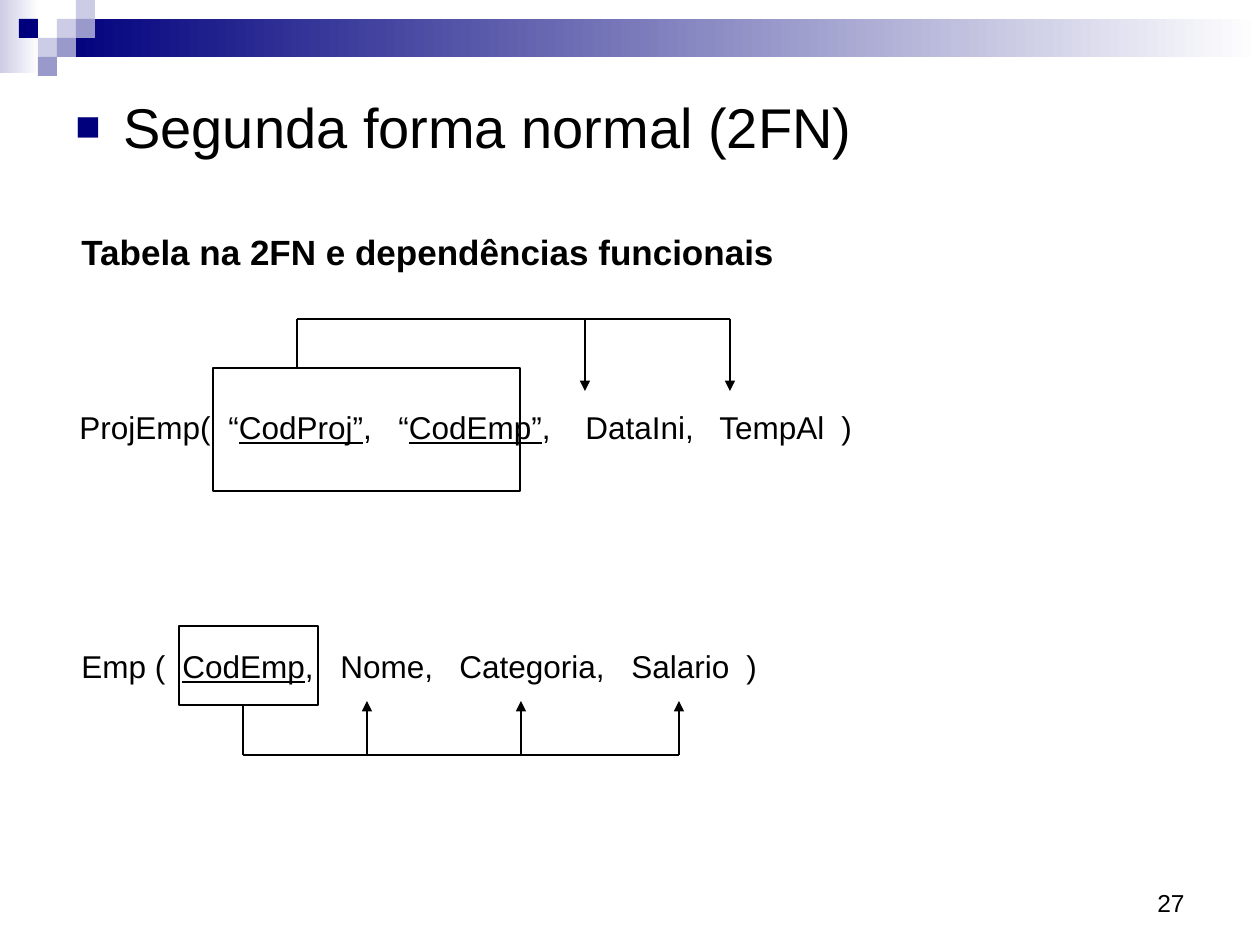
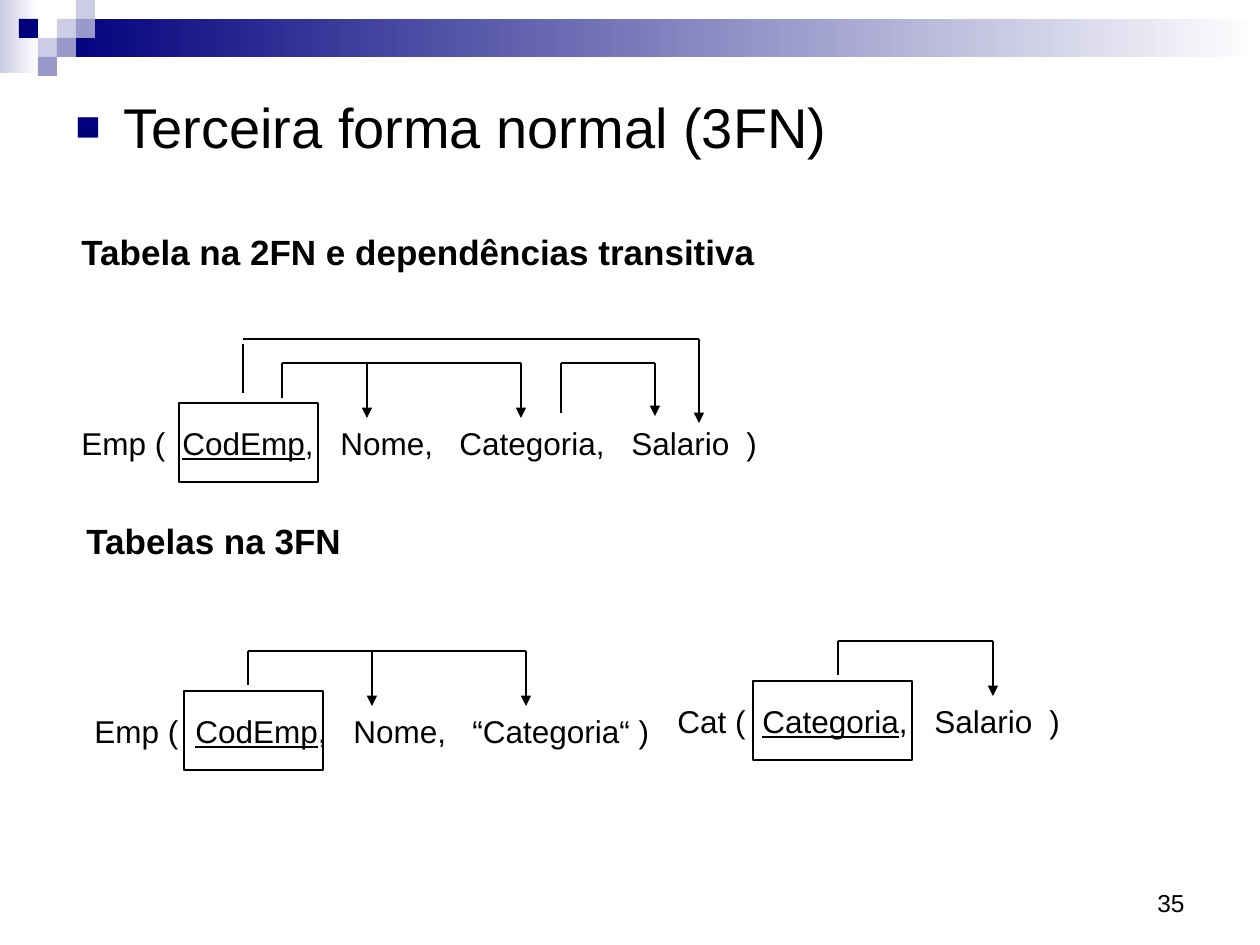
from lxml.etree import SubElement
from pptx import Presentation
from pptx.dml.color import RGBColor
from pptx.enum.shapes import MSO_CONNECTOR as Connector, MSO_SHAPE as Shape
from pptx.enum.text import MSO_ANCHOR as Anchor, MSO_AUTO_SIZE as AutoSize, PP_ALIGN as Align
from pptx.oxml.ns import qn
from pptx.util import Pt

SCALE = 914400 / 126
COLORS = {"ink": "000000", "navy": "00007D", "violet": "9999CC", "lilac": "CCCCE6", "paper": "FFFFFF"}
FONT = "Arial"
TITLE = {"size": Pt(32)}
HEADING = {"size": Pt(20), "bold": True}
ATTRIBUTES = {"size": Pt(18)}
NUMBER = {"size": Pt(14)}
FITTED = {"word_wrap": False, "auto_size": AutoSize.SHAPE_TO_FIT_TEXT}
CELL = 19
CELLS = [(3, 1, "lilac"), (4, 0, "lilac"), (4, 1, "violet"), (2, 2, "lilac"),
         (1, 1, "navy"), (3, 2, "violet"), (2, 3, "violet")]
EMP_STOPS = (101, 259, 378, 550, 665)


def px(length):
    return round(length * SCALE)


def color(name):
    return RGBColor.from_string(COLORS[name])


def apply(target, formats):
    for name, value in formats.items():
        setattr(target, name, value)


def rectangle(slide, box):
    area = slide.shapes.add_shape(Shape.RECTANGLE, *map(px, box))
    area.shadow.inherit = False
    return area


def ink_line(line):
    line.color.rgb = color("ink")
    line.width = Pt(0.75)


def write(slide, box, text, font, frame_formats):
    frame = slide.shapes.add_textbox(*map(px, box)).text_frame
    apply(frame, frame_formats)
    paragraph = frame.paragraphs[0]
    for index, part in enumerate(text.split("_")):
        if part:
            run = paragraph.add_run()
            run.text = part
            apply(run.font, {"name": FONT, **font, "underline": index % 2 == 1})
            run.font.color.rgb = color("ink")
    return paragraph


def gradient_band(slide, box, start):
    band = rectangle(slide, box)
    band.fill.gradient()
    band.fill.gradient_angle = 0
    for stop, position, shade in zip(band.fill.gradient_stops, (0, 1), (start, "paper")):
        stop.position = position
        stop.color.rgb = color(shade)
    band.line.fill.background()


def header(slide):
    gradient_band(slide, (0, 0, 39, 73), "lilac")
    gradient_band(slide, (3 * CELL, CELL, 1260 - 3 * CELL, 2 * CELL), "navy")
    for column, row, shade in CELLS:
        cell = rectangle(slide, (column * CELL, row * CELL, CELL, CELL))
        cell.fill.solid()
        cell.fill.fore_color.rgb = color(shade)
        cell.line.fill.background()


def title(slide, box, text):
    paragraph = write(slide, box, text, TITLE, {"word_wrap": True})
    paragraph.space_before = Pt(8)
    properties = paragraph._p.get_or_add_pPr()
    properties.set("marL", str(px(48)))
    properties.set("indent", str(px(-48)))
    bullet_color = SubElement(properties, qn("a:buClr"))
    SubElement(bullet_color, qn("a:srgbClr"), val=COLORS["navy"])
    SubElement(properties, qn("a:buSzPct"), val="75000")
    SubElement(properties, qn("a:buFont"), typeface=FONT)
    SubElement(properties, qn("a:buChar"), char="■")


def heading(slide, box, text):
    write(slide, box, text, HEADING, FITTED)


def page_number(slide, box, number):
    paragraph = write(slide, box, number, NUMBER,
                      {"word_wrap": True, "vertical_anchor": Anchor.BOTTOM})
    paragraph.alignment = Align.RIGHT


def stroke(slide, start, end, arrow=False):
    segment = slide.shapes.add_connector(Connector.STRAIGHT, *map(px, (*start, *end)))
    ink_line(segment.line)
    properties = segment._element.spPr
    if arrow:
        SubElement(properties.find(qn("a:ln")), qn("a:tailEnd"), type="triangle")
    SubElement(properties, qn("a:effectLst"))


def dependency(slide, origin, source, foot, rail, targets, tip, gap=0):
    left, top = origin
    stroke(slide, (left + source, top + foot), (left + source, top + rail + gap))
    stroke(slide, (left + source, top + rail), (left + targets[-1], top + rail))
    for target in targets:
        stroke(slide, (left + target, top + rail), (left + target, top + tip), arrow=True)


def relation(slide, box, text, stops, key, dependencies):
    left, top = box[:2]
    paragraph = write(slide, box, text, ATTRIBUTES, FITTED)
    tabs = SubElement(paragraph._p.get_or_add_pPr(), qn("a:tabLst"))
    for stop in stops:
        SubElement(tabs, qn("a:tab"), pos=str(px(stop)), algn="l")
    key_x, key_y, key_width, key_height = key
    key_frame = rectangle(slide, (left + key_x, top + key_y, key_width, key_height))
    key_frame.fill.background()
    ink_line(key_frame.line)
    for values in dependencies:
        dependency(slide, (left, top), **values)


def base_slide(deck, name, number):
    slide = deck.slides.add_slide(deck.slide_layouts[6])
    header(slide)
    page_number(slide, (903, 861, 294, 63), number)
    title(slide, (63, 86, 1158, 134), name)
    return slide


def second_form(deck):
    slide = base_slide(deck, "Segunda forma normal (2FN)", "27")
    heading(slide, (69, 224, 721, 55), "Tabela na 2FN e dependências funcionais")
    relation(slide, (67, 402, 803, 50),
             "ProjEmp(\t“_CodProj”_,\t“_CodEmp”_,\tDataIni,\tTempAl\t)",
             (149, 319, 506, 640, 762), (146, -34, 307, 123),
             [dict(source=230, foot=-34, rail=-83, targets=(518, 663), tip=-11)])
    relation(slide, (69, 641, 701, 50),
             "Emp (\t_CodEmp_,\tNome,\tCategoria,\tSalario\t)",
             EMP_STOPS, (110, -15, 139, 79),
             [dict(source=174, foot=64, rail=114, targets=(298, 452, 610), tip=60)])


def third_form(deck):
    slide = base_slide(deck, "Terceira forma normal (3FN)", "35")
    heading(slide, (69, 224, 702, 55), "Tabela na 2FN e dependências transitiva")
    relation(slide, (69, 418, 701, 50),
             "Emp (\t_CodEmp_,\tNome,\tCategoria,\tSalario\t)",
             EMP_STOPS, (110, -15, 139, 79),
             [dict(source=174, foot=-25, rail=-79, targets=(630,), tip=5, gap=5),
              dict(source=213, foot=-20, rail=-55, targets=(298, 452), tip=0),
              dict(source=492, foot=-5, rail=-55, targets=(586,), tip=-2)])
    heading(slide, (74, 513, 282, 55), "Tabelas na 3FN")
    relation(slide, (82, 706, 580, 50),
             "Emp (\t_CodEmp_,\tNome,\t“Categoria“ )",
             EMP_STOPS[:3], (102, -15, 139, 79),
             [dict(source=166, foot=-21, rail=-55, targets=(290, 444), tip=0)])
    relation(slide, (665, 696, 408, 50),
             "Cat (\t_Categoria_,\tSalario\t)",
             (85, 257, 372), (88, -15, 159, 79),
             [dict(source=173, foot=-21, rail=-55, targets=(328,), tip=0)])


def main():
    deck = Presentation()
    apply(deck, {"slide_width": px(1260), "slide_height": px(945)})
    second_form(deck)
    third_form(deck)
    deck.save("out.pptx")


if __name__ == "__main__":
    main()
